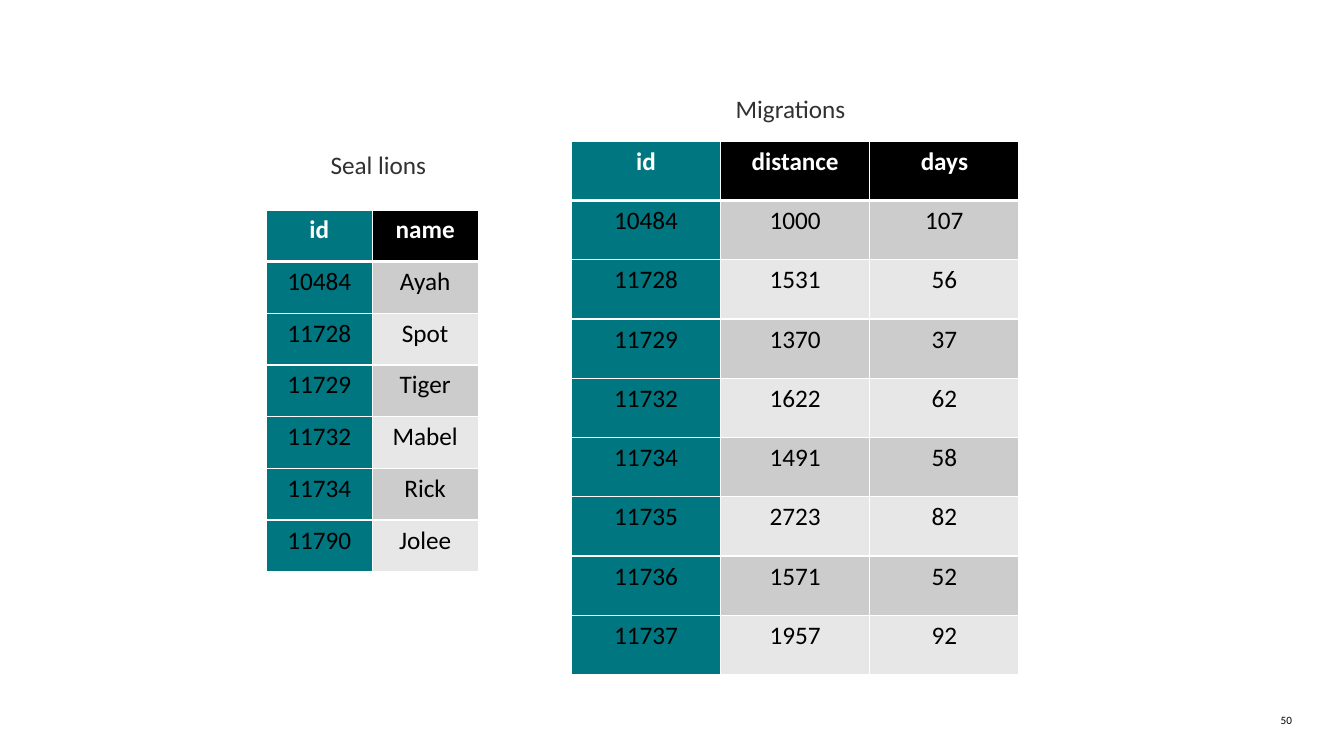
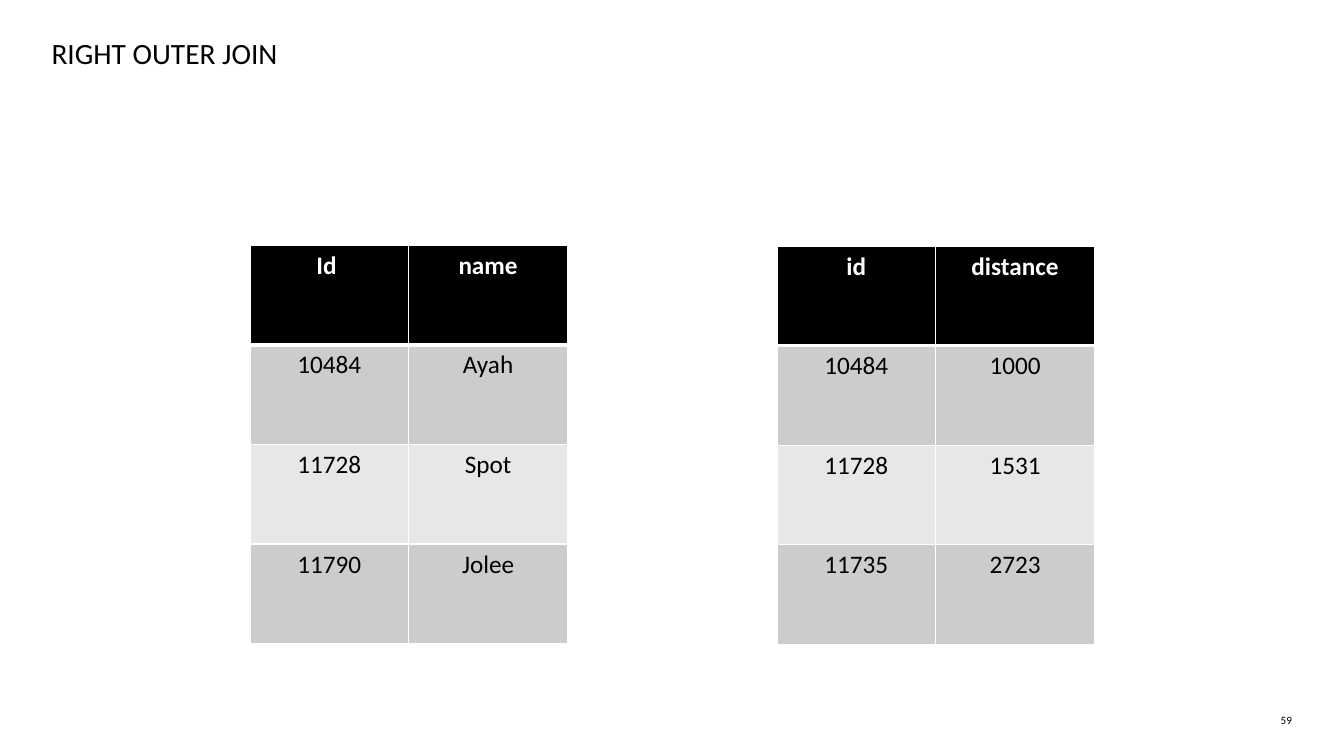
from lxml import etree
from pptx import Presentation
from pptx.dml.color import RGBColor
from pptx.enum.text import MSO_ANCHOR, PP_ALIGN
from pptx.oxml.ns import qn
from pptx.util import Cm, Pt

LEFT, CENTER, RIGHT = PP_ALIGN.LEFT, PP_ALIGN.CENTER, PP_ALIGN.RIGHT
TOP, MIDDLE = MSO_ANCHOR.TOP, MSO_ANCHOR.MIDDLE

# Shared style
FONT = "Calibri"
TEAL, BLACK, WHITE, CAPTION = "007680", "000000", "FFFFFF", "313131"
BANDS = ("CCCCCC", "E7E7E7")
THIN, THICK = 1, 3

# Table contents
SEA_LIONS = [
    ("id", "name"),
    ("10484", "Ayah"),
    ("11728", "Spot"),
    ("11729", "Tiger"),
    ("11732", "Mabel"),
    ("11734", "Rick"),
    ("11790", "Jolee"),
]
MIGRATIONS = [
    ("id", "distance", "days"),
    ("10484", "1000", "107"),
    ("11728", "1531", "56"),
    ("11729", "1370", "37"),
    ("11732", "1622", "62"),
    ("11734", "1491", "58"),
    ("11735", "2723", "82"),
    ("11736", "1571", "52"),
    ("11737", "1957", "92"),
]
JOIN_NAMES = [
    ("Id ", "name"),
    ("10484", "Ayah"),
    ("11728", "Spot"),
    ("11790", "Jolee"),
]
JOIN_DISTANCES = [
    ("id", "distance"),
    ("10484", "1000"),
    ("11728", "1531"),
    ("11735", "2723"),
]


def color(hex_code):
    return RGBColor.from_string(hex_code)


def style_paragraph(paragraph, size, hex_code, align, bold=False):
    paragraph.alignment = align
    font = paragraph.font
    font.name, font.size, font.bold = FONT, Pt(size), bold
    font.color.rgb = color(hex_code)


def add_text(slide, box, text, size, hex_code, align=LEFT, anchor=TOP):
    frame = slide.shapes.add_textbox(*map(Cm, box)).text_frame
    frame.margin_left = frame.margin_right = 0
    frame.margin_top = frame.margin_bottom = 0
    frame.word_wrap = True
    frame.vertical_anchor = anchor
    frame.text = text
    style_paragraph(frame.paragraphs[0], size, hex_code, align)


def add_borders(cell, top, bottom):
    properties = cell._tc.get_or_add_tcPr()
    widths = {"a:lnL": THIN, "a:lnR": THIN, "a:lnT": top, "a:lnB": bottom}
    for tag, width in widths.items():
        line = etree.SubElement(properties, qn(tag), w=str(Pt(width)))
        fill = etree.SubElement(line, qn("a:solidFill"))
        etree.SubElement(fill, qn("a:srgbClr"), val=WHITE)


def add_data_table(slide, box, rows, key_fill=None):
    """Banded table filling the box; key_fill colours the first column."""
    left, top, width, height = map(Cm, box)
    row_count, column_count = len(rows), len(rows[0])
    table = slide.shapes.add_table(
        row_count, column_count, left, top, width, height).table
    table.horz_banding = False
    for column in table.columns:
        column.width = width // column_count
    for r, values in enumerate(rows):
        table.rows[r].height = height // row_count
        header = r == 0
        row_fill = BLACK if header else BANDS[(r - 1) % 2]
        for c, value in enumerate(values):
            cell = table.cell(r, c)
            cell.text = value
            style_paragraph(cell.text_frame.paragraphs[0], 18,
                            WHITE if header else BLACK, CENTER, header)
            add_borders(cell, THICK if r == 1 else THIN,
                        THICK if header else THIN)
            cell.fill.solid()
            is_key = c == 0 and key_fill
            cell.fill.fore_color.rgb = color(key_fill if is_key else row_fill)


def add_numbered_slide(prs, number):
    slide = prs.slides.add_slide(prs.slide_layouts[6])
    add_text(slide, (31.7, 17.98, 0.86, 0.33), number, 8, BLACK, RIGHT)
    return slide


def add_captioned_table(slide, box, caption, offset, rows):
    """Table with its caption at an offset from the top left corner."""
    add_data_table(slide, box, rows, TEAL)
    dx, dy = offset
    add_text(slide, (box[0] + dx, box[1] + dy, 3.73, 0.76),
             caption, 18, CAPTION)


def build_source_tables(prs):
    slide = add_numbered_slide(prs, "50")
    add_captioned_table(slide, (6.71, 5.29, 5.34, 9.12),
                        "Seal lions", (1.62, -1.53), SEA_LIONS)
    add_captioned_table(slide, (14.4, 3.56, 11.28, 13.44),
                        "Migrations", (4.14, -1.22), MIGRATIONS)


def build_join_result(prs):
    slide = add_numbered_slide(prs, "59")
    add_text(slide, (1.3, 0.84, 31.12, 0.97), "RIGHT OUTER JOIN",
             21, BLACK, anchor=MIDDLE)
    for left, top, rows in ((6.3, 6.18, JOIN_NAMES),
                            (19.58, 6.2, JOIN_DISTANCES)):
        add_data_table(slide, (left, top, 8, 10.04), rows)


def main():
    prs = Presentation()
    prs.slide_width, prs.slide_height = Cm(33.87), Cm(19.05)
    build_source_tables(prs)
    build_join_result(prs)
    prs.save("out.pptx")


if __name__ == "__main__":
    main()
